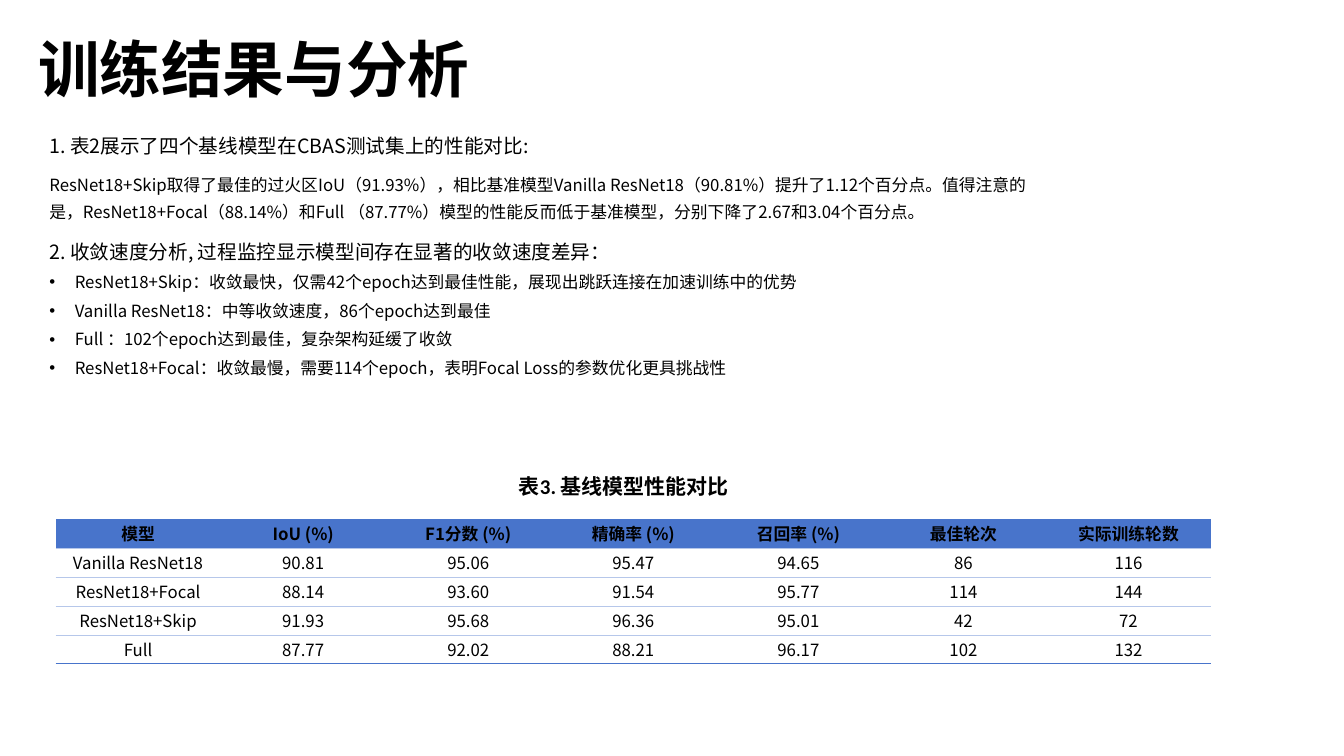
from dataclasses import dataclass
from pptx import Presentation
from pptx import util as u
from pptx.dml.color import RGBColor
from pptx.enum import text
from pptx.oxml import ns, xmlchemy


@dataclass
class Theme:
    ink: str = "000000"
    blue: str = "4874CB"
    pale: str = "B6C7EA"
    white: str = "FFFFFF"
    latin: str = "Calibri"
    han: str = "Noto Sans CJK SC"
    title: int = 44
    cap: int = 15
    head: int = 14
    body: int = 12
    rule: float = 0.75


def add(node, tag, **attrs):
    item = xmlchemy.OxmlElement(tag)
    for key, val in attrs.items():
        item.set(key, str(val))
    node.append(item)
    return item


class Deck:
    def __init__(self, theme):
        self.theme = theme
        self.show = Presentation()
        self.show.slide_width = u.Cm(33.87)
        self.show.slide_height = u.Cm(19.05)
        self.slide = self.show.slides.add_slide(self.show.slide_layouts[1])

    def run(self, para, words, size, font, bold=False):
        run = para.add_run()
        run.text = words
        run.font.size = u.Pt(size)
        run.font.bold = bold
        run.font.name = font
        run.font.color.rgb = RGBColor.from_string(self.theme.ink)
        add(run.font._element, "a:ea", typeface=self.theme.han)

    def place(self, shape, box):
        shape.left, shape.top, shape.width, shape.height = map(u.Cm, box)
        frame = shape.text_frame
        frame.word_wrap = True
        frame.auto_size = text.MSO_AUTO_SIZE.NONE
        return frame

    def title(self, words, box):
        frame = self.place(self.slide.shapes.title, box)
        frame.margin_left = u.Cm(0.96)
        frame.vertical_anchor = text.MSO_ANCHOR.MIDDLE
        para = frame.paragraphs[0]
        para.alignment = text.PP_ALIGN.LEFT
        para.line_spacing = 0.9
        self.run(para, words, self.theme.title, self.theme.latin, True)

    def body(self, items, box):
        frame = self.place(self.slide.placeholders[1], box)
        frame.vertical_anchor = text.MSO_ANCHOR.TOP
        for num, (kind, words) in enumerate(items):
            para = frame.add_paragraph() if num else frame.paragraphs[0]
            dot = kind == "dot"
            para.line_spacing = 0.86 if dot else 1.32
            para.space_before = u.Pt(8)
            para.space_after = u.Pt(0)
            props = para._p.get_or_add_pPr()
            inset = u.Cm(0.64) if dot else 0
            props.set("marL", str(inset))
            props.set("indent", str(-inset))
            if dot:
                add(props, "a:buFont", typeface="Arial")
                add(props, "a:buChar", char="•")
            else:
                add(props, "a:buNone")
            size = self.theme.head if kind == "head" else self.theme.body
            self.run(para, words, size, self.theme.han)

    def label(self, words, box):
        shape = self.slide.shapes.add_textbox(*map(u.Cm, box))
        frame = self.place(shape, box)
        self.run(frame.paragraphs[0], words, self.theme.cap, self.theme.latin, True)

    def edge(self, cell, side, color):
        props = cell._tc.get_or_add_tcPr()
        line = add(props, "a:ln" + side, w=u.Pt(self.theme.rule) if color else 0)
        if color:
            add(add(line, "a:solidFill"), "a:srgbClr", val=color)
        else:
            add(line, "a:noFill")

    def cell(self, cell, words, head, top, low):
        cell.margin_left = cell.margin_right = 0
        cell.margin_top = cell.margin_bottom = 0
        cell.vertical_anchor = text.MSO_ANCHOR.MIDDLE
        for side, color in zip("LRTB", (None, None, top, low)):
            self.edge(cell, side, color)
        cell.fill.solid()
        shade = self.theme.blue if head else self.theme.white
        cell.fill.fore_color.rgb = RGBColor.from_string(shade)
        para = cell.text_frame.paragraphs[0]
        para.alignment = text.PP_ALIGN.CENTER
        self.run(para, words, self.theme.body, self.theme.han, head)

    def table(self, rows, left, top, wide, high):
        count, cols = len(rows), len(rows[0])
        spot = map(u.Cm, (left, top, wide * cols, high * count))
        grid = self.slide.shapes.add_table(count, cols, *spot).table
        for col in grid.columns:
            col.width = u.Cm(wide)
        pale, blue = self.theme.pale, self.theme.blue
        for r, row in enumerate(rows):
            grid.rows[r].height = u.Cm(high)
            above = pale if r else None
            below = blue if r == count - 1 else pale
            for c, words in enumerate(row):
                self.cell(grid.cell(r, c), words, r == 0, above, below)


ITEMS = [
    ("head", "1. 表2展示了四个基线模型在CBAS测试集上的性能对比:"),
    ("text", "ResNet18+Skip取得了最佳的过火区IoU（91.93%），相比基准模型Vanilla ResNet18（90.81%）"
             "提升了1.12个百分点。值得注意的是，ResNet18+Focal（88.14%）和Full （87.77%）"
             "模型的性能反而低于基准模型，分别下降了2.67和3.04个百分点。"),
    ("head", "2. 收敛速度分析, 过程监控显示模型间存在显著的收敛速度差异："),
    ("dot", "ResNet18+Skip：收敛最快，仅需42个epoch达到最佳性能，展现出跳跃连接在加速训练中的优势"),
    ("dot", "Vanilla ResNet18：中等收敛速度，86个epoch达到最佳"),
    ("dot", "Full ：102个epoch达到最佳，复杂架构延缓了收敛"),
    ("dot", "ResNet18+Focal：收敛最慢，需要114个epoch，表明Focal Loss的参数优化更具挑战性"),
]

ROWS = [
    ["模型", "IoU (%)", "F1分数 (%)", "精确率 (%)", "召回率 (%)", "最佳轮次", "实际训练轮数"],
    ["Vanilla ResNet18", "90.81", "95.06", "95.47", "94.65", "86", "116"],
    ["ResNet18+Focal", "88.14", "93.60", "91.54", "95.77", "114", "144"],
    ["ResNet18+Skip", "91.93", "95.68", "96.36", "95.01", "42", "72"],
    ["Full", "87.77", "92.02", "88.21", "96.17", "102", "132"],
]


def main():
    deck = Deck(Theme())
    deck.title("训练结果与分析", (0, 0, 29.21, 3.68))
    deck.body(ITEMS, (0.99, 3.05, 25.17, 12.37))
    deck.label("表3. 基线模型性能对比", (12.83, 11.81, 7.39, 0.89))
    deck.table(ROWS, 1.4, 13.08, 4.16, 0.73)
    deck.show.save("out.pptx")


if __name__ == "__main__":
    main()
